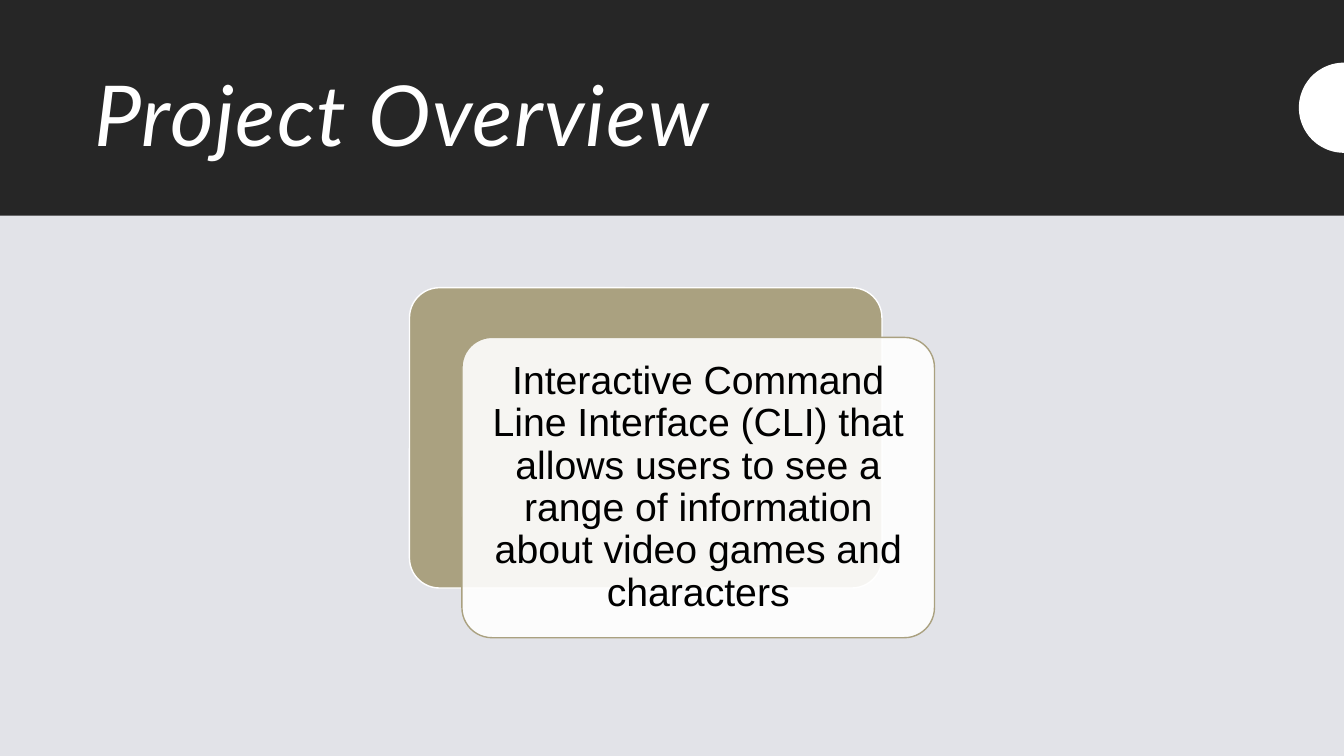
import math
from pptx import Presentation
from pptx.dml.color import RGBColor
from pptx.enum import shapes, text
from pptx.oxml import ns, xmlchemy as x
from pptx.util import Pt

WIDTH, HEIGHT = 960, 540
DARK, PALE, WHITE, BLACK, OLIVE = "262626", "E2E3E8", "FFFFFF", "000000", "AAA180"


def color(hex_string):
    return RGBColor.from_string(hex_string)


class Deck:
    """Slide under construction, with its fonts."""

    title_font, body_font = "Lato", "Arial"

    def __init__(self, prs):
        self.s = prs.slides.add_slide(prs.slide_layouts[5])
        fill = self.s.background.fill
        fill.solid()
        fill.fore_color.rgb = color(PALE)

    def paint(self, sp, fill, line=None, opacity=100):
        sp.shadow.inherit = False
        sp.fill.solid()
        sp.fill.fore_color.rgb = color(fill)
        if opacity < 100:
            srgb = sp._element.spPr.find(ns.qn("a:solidFill")).find(ns.qn("a:srgbClr"))
            alpha = x.OxmlElement("a:alpha")
            alpha.set("val", str(opacity * 1000))
            srgb.append(alpha)
        if line:
            sp.line.color.rgb = color(line)
            sp.line.width = Pt(1)
        else:
            sp.line.fill.background()

    def box(self, left, top, width, height, fill, line=None, opacity=100, radius=None):
        kind = shapes.MSO_SHAPE.ROUNDED_RECTANGLE if radius else shapes.MSO_SHAPE.RECTANGLE
        sp = self.s.shapes.add_shape(kind, Pt(left), Pt(top), Pt(width), Pt(height))
        if radius:
            sp.adjustments[0] = radius
        self.paint(sp, fill, line, opacity)

    def half_disc(self, right, middle, radius, fill, steps=48):
        """Left half of a disc whose straight side lies at right."""
        angles = [math.pi * i / steps for i in range(steps + 1)]
        points = [(Pt(right - radius * math.sin(a)), Pt(middle - radius * math.cos(a)))
                  for a in angles]
        builder = self.s.shapes.build_freeform(*points[0])
        builder.add_line_segments(points[1:], close=True)
        self.paint(builder.convert_to_shape(), fill)

    def set_text(self, sp, words, size, font, ink, align, inset, italic=False, spacing=0):
        tf = sp.text_frame
        tf.word_wrap = True
        tf.auto_size = text.MSO_AUTO_SIZE.NONE
        tf.vertical_anchor = text.MSO_ANCHOR.MIDDLE
        tf.margin_left = tf.margin_right = Pt(inset[0])
        tf.margin_top = tf.margin_bottom = Pt(inset[1])
        p = tf.paragraphs[0]
        p.alignment, p.line_spacing = align, 0.9
        r = p.add_run()
        r.text = words
        r.font.name, r.font.size, r.font.italic = font, Pt(size), italic
        r.font.color.rgb = color(ink)
        if spacing:
            r._r.get_or_add_rPr().set("spc", str(spacing * 100))

    def title(self, words, left, top, width, height):
        sp = self.s.shapes.title
        sp.left, sp.top, sp.width, sp.height = Pt(left), Pt(top), Pt(width), Pt(height)
        # The placeholder comes first in the tree; bring it above the band.
        self.s.shapes._spTree.append(sp._element)
        self.set_text(sp, words, 60, self.title_font, WHITE, text.PP_ALIGN.LEFT,
                      (7.2, 3.6), italic=True, spacing=1)

    def body(self, words, left, top, width, height):
        sp = self.s.shapes.add_textbox(Pt(left), Pt(top), Pt(width), Pt(height))
        self.set_text(sp, words, 28, self.body_font, BLACK, text.PP_ALIGN.CENTER, (8.4, 8.4))


def main():
    prs = Presentation()
    prs.slide_width, prs.slide_height = Pt(WIDTH), Pt(HEIGHT)
    deck = Deck(prs)

    deck.box(0, 0, WIDTH, 154, DARK)
    deck.title("Project Overview", 60, 33, 840, 104.5)
    deck.half_disc(WIDTH, 77, 32.2, WHITE)

    left, top, width, height = 292.5, 205.5, 337.5, 214.5
    deck.box(left, top, width, height, OLIVE, WHITE, radius=0.1)
    left, top, pad = left + 37.5, top + 35.5, 6.3
    deck.box(left, top, width, height, WHITE, OLIVE, opacity=90, radius=0.1)
    deck.body("Interactive Command Line Interface (CLI) that allows users to see a range of "
              "information about video games and characters",
              left + pad, top + pad, width - 2 * pad, height - 2 * pad)

    prs.save("out.pptx")


if __name__ == "__main__":
    main()
